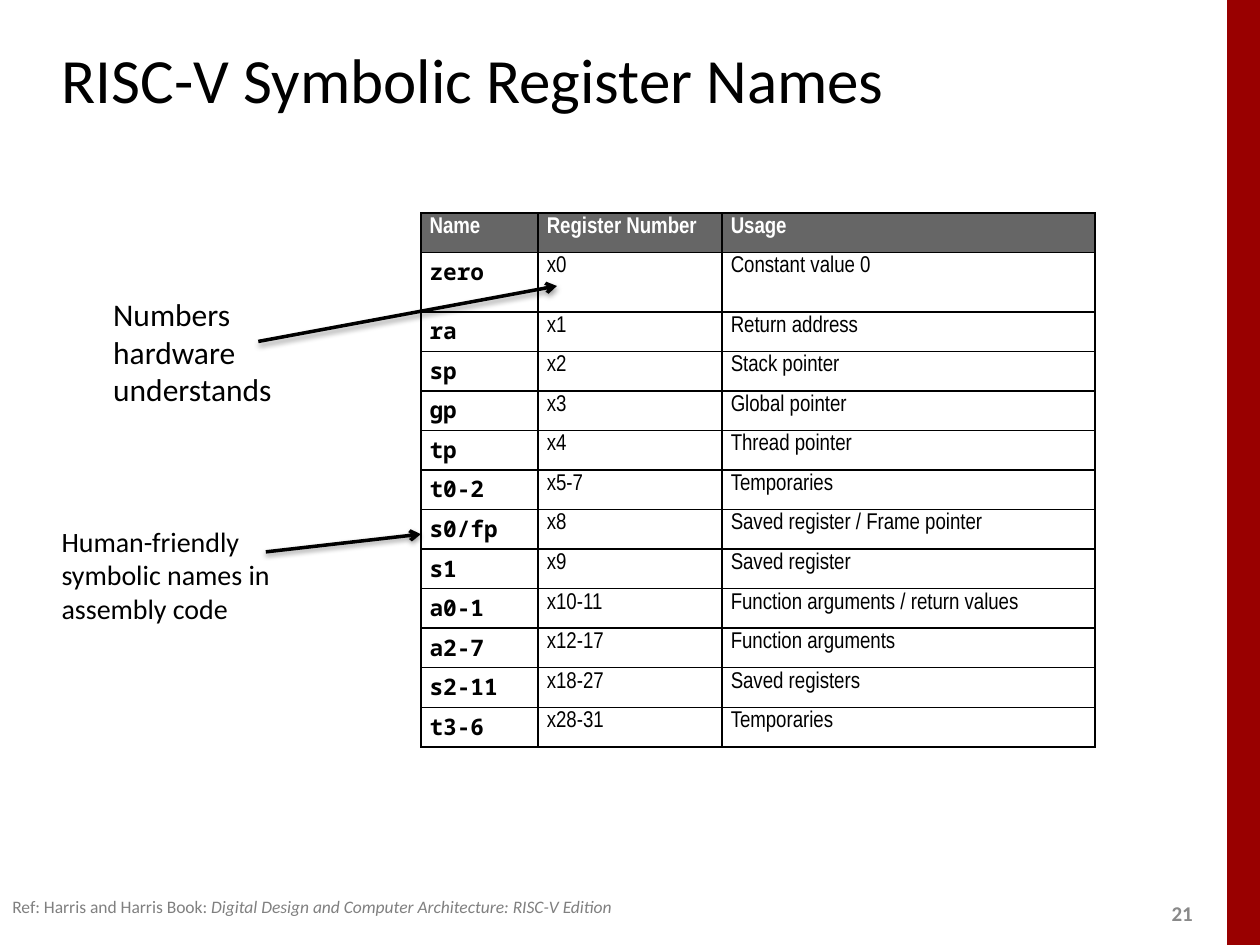
"""Build the slide on RISC-V symbolic register names."""
from dataclasses import dataclass

from lxml import etree
from pptx import Presentation
from pptx.dml.color import RGBColor
from pptx.enum.shapes import MSO_CONNECTOR, MSO_SHAPE
from pptx.enum.text import MSO_ANCHOR, PP_ALIGN
from pptx.oxml import parse_xml
from pptx.oxml.ns import nsdecls, qn
from pptx.util import Inches, Pt

LEFT = PP_ALIGN.LEFT
TOP, MIDDLE = MSO_ANCHOR.TOP, MSO_ANCHOR.MIDDLE
RECTANGLE, STRAIGHT = MSO_SHAPE.RECTANGLE, MSO_CONNECTOR.STRAIGHT


@dataclass(frozen=True)
class Theme:
    black: str = "000000"
    white: str = "FFFFFF"
    red: str = "990000"
    header: str = "666666"
    number: str = "898989"
    reference: str = "808080"
    body_font: str = "Calibri"
    table_font: str = "Arial Narrow"
    code_font: str = "Noto Sans Mono"
    title_size: int = 36
    hardware_size: int = 18
    human_size: int = 16
    table_size: int = 13
    number_size: int = 12
    reference_size: int = 10


theme = Theme()


def write(frame, text, size, font=theme.body_font, color=theme.black,
          bold=False, italic_tail="", anchor=TOP):
    """Fill a text frame with one formatted paragraph."""
    frame.word_wrap = True
    frame.vertical_anchor = anchor
    para = frame.paragraphs[0]
    para.alignment = LEFT
    for words, italic in ((text, False), (italic_tail, True)):
        if words:
            span = para.add_run()
            span.text = words
            span.font.name = font
            span.font.size = Pt(size)
            span.font.bold = bold
            span.font.italic = italic
            span.font.color.rgb = RGBColor.from_string(color)


deck = Presentation()
deck.slide_width, deck.slide_height = Inches(10), Inches(7.5)
COLUMN, ROW = deck.slide_width / 100, deck.slide_height / 75
page = deck.slides.add_slide(deck.slide_layouts[5])


def place(left, top, width, height):
    """Turn grid columns and rows into slide lengths."""
    return (round(left * COLUMN), round(top * ROW),
            round(width * COLUMN), round(height * ROW))


bar = page.shapes.add_shape(RECTANGLE, *place(97.4, 0, 2.6, 75))
bar.shadow.inherit = False
bar.fill.solid()
bar.fill.fore_color.rgb = RGBColor.from_string(theme.red)
bar.line.fill.background()

title = page.shapes.title
title.left, title.top, title.width, title.height = place(3.9, 2.1, 83, 8.3)
write(title.text_frame, "RISC-V Symbolic Register Names", theme.title_size,
      anchor=MIDDLE)

registers = [
    ("Name", "Register Number", "Usage"),
    ("zero", "x0", "Constant value 0"),
    ("ra", "x1", "Return address"),
    ("sp", "x2", "Stack pointer"),
    ("gp", "x3", "Global pointer"),
    ("tp", "x4", "Thread pointer"),
    ("t0-2", "x5-7", "Temporaries"),
    ("s0/fp", "x8", "Saved register / Frame pointer"),
    ("s1", "x9", "Saved register"),
    ("a0-1", "x10-11", "Function arguments / return values"),
    ("a2-7", "x12-17", "Function arguments"),
    ("s2-11", "x18-27", "Saved registers"),
    ("t3-6", "x28-31", "Temporaries"),
]
column_widths = (9.3, 14.6, 29.6)
row_height, zero_height = 3.14, 4.72
table_height = row_height * (len(registers) - 1) + zero_height
table = page.shapes.add_table(
    len(registers), len(column_widths),
    *place(33.4, 16.9, sum(column_widths), table_height)).table
table.horz_banding = False
for column, width in zip(table.columns, column_widths):
    column.width = round(width * COLUMN)

for row_index, register in enumerate(registers):
    height = zero_height if row_index == 1 else row_height
    table.rows[row_index].height = round(height * ROW)
    for column_index, text in enumerate(register):
        cell = table.cell(row_index, column_index)
        is_header = row_index == 0
        is_code = column_index == 0 and not is_header
        cell.margin_left = cell.margin_right = round(0.7 * COLUMN)
        cell.margin_top = cell.margin_bottom = round(0.3 * ROW)
        write(cell.text_frame, text, theme.table_size,
              font=theme.code_font if is_code else theme.table_font,
              color=theme.white if is_header else theme.black,
              bold=is_header or is_code)
        properties = cell._tc.get_or_add_tcPr()
        for side in ("lnL", "lnR", "lnT", "lnB"):
            properties.append(parse_xml(
                f'<a:{side} {nsdecls("a")} w="{Pt(1)}"><a:solidFill>'
                f'<a:srgbClr val="{theme.black}"/></a:solidFill></a:{side}>'))
        if is_header:
            cell.fill.solid()
            cell.fill.fore_color.rgb = RGBColor.from_string(theme.header)
        else:
            cell.fill.background()

arrows = [(20.5, 27.1, 44.2, 22.7), (21.1, 43.8, 33.4, 42.4)]
for ends in arrows:
    arrow = page.shapes.add_connector(STRAIGHT, *place(*ends))
    arrow.line.width = Pt(2)
    arrow.line.color.rgb = RGBColor.from_string(theme.black)
    etree.SubElement(arrow.line._get_or_add_ln(), qn("a:tailEnd"), type="arrow")
    arrow._element.spPr.append(parse_xml(
        f'<a:effectLst {nsdecls("a")}><a:outerShdw blurRad="{Pt(3.1)}" '
        f'dist="{Pt(1.6)}" dir="5400000" rotWithShape="0">'
        f'<a:srgbClr val="{theme.black}"><a:alpha val="38000"/></a:srgbClr>'
        '</a:outerShdw></a:effectLst>'))

captions = [
    ((8, 22.9, 15.8, 10.1), "Numbers hardware understands",
     dict(size=theme.hardware_size)),
    ((3.9, 41.1, 19.2, 9.1), "Human-friendly symbolic names in assembly code",
     dict(size=theme.human_size)),
    ((0, 70.6, 64.6, 2.7), "Ref: Harris and Harris Book: ",
     dict(size=theme.reference_size, color=theme.reference,
          italic_tail="Digital Design and Computer Architecture: "
                      "RISC-V Edition")),
    ((92, 71, 4, 3), "21",
     dict(size=theme.number_size, color=theme.number, bold=True,
          anchor=MIDDLE)),
]
for area, text, style in captions:
    box = page.shapes.add_textbox(*place(*area))
    write(box.text_frame, text, **style)

deck.save("out.pptx")
